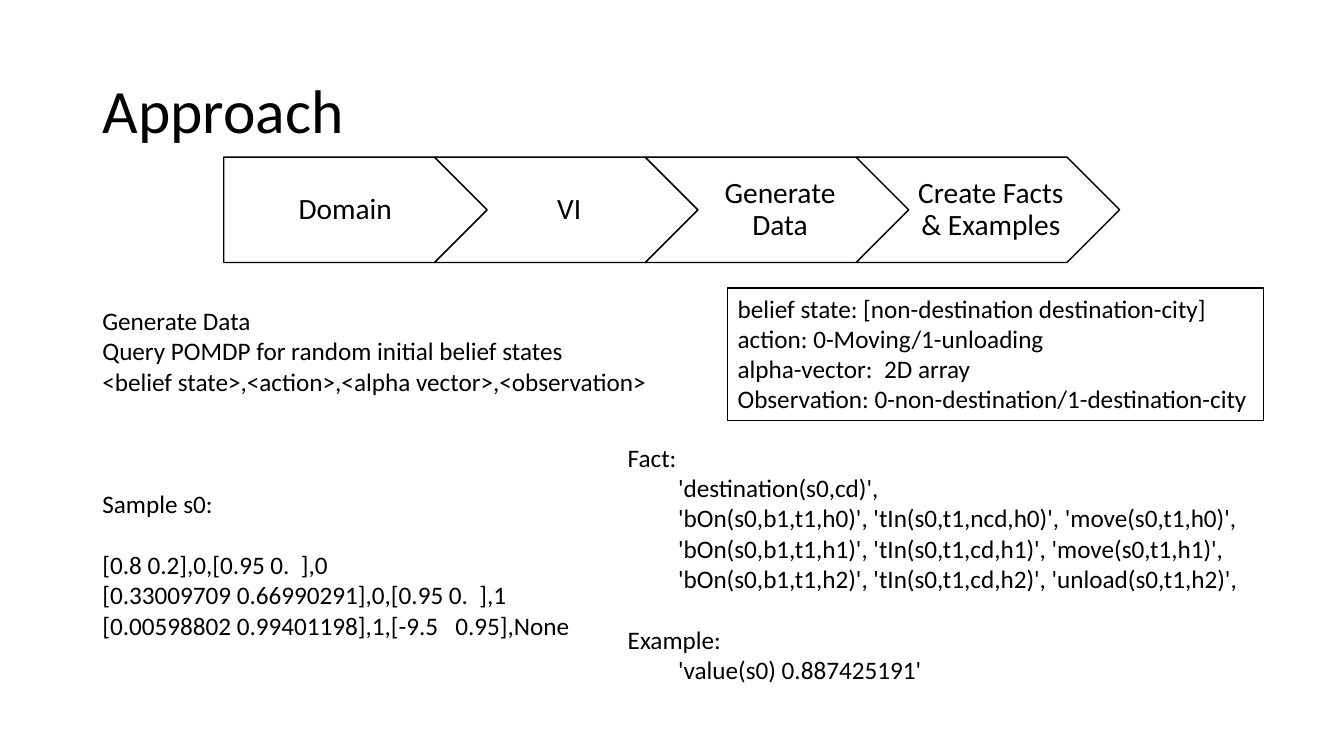
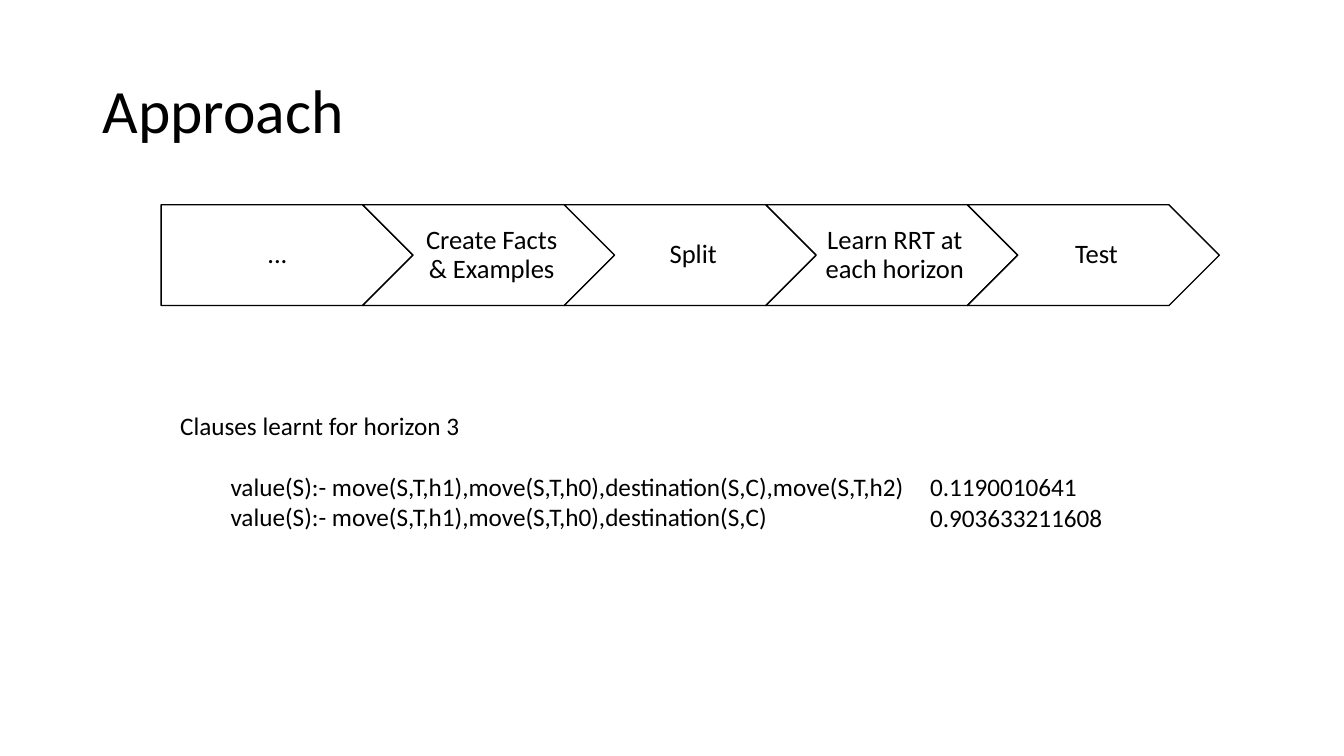
import dataclasses

import pptx
import pptx.dml.color
import pptx.enum.shapes
import pptx.enum.text
import pptx.util

Cm = pptx.util.Cm
Pt = pptx.util.Pt
ALIGN = pptx.enum.text.PP_ALIGN
ANCHOR = pptx.enum.text.MSO_ANCHOR
SHAPE = pptx.enum.shapes.MSO_SHAPE

COLOURS = {"ink": "000000", "paper": "FFFFFF"}
FONT = "Calibri"
BODY_SIZE = 18
BODY_LINE_HEIGHT = 22
TITLE_ONLY_LAYOUT = 5


@dataclasses.dataclass
class Line:
    """One paragraph; gap counts the line heights left free above it."""
    text: str
    level: int = 0
    gap: int = 0


def colour(name):
    return pptx.dml.color.RGBColor.from_string(COLOURS[name])


def write_text(frame, lines, size=BODY_SIZE, align=ALIGN.LEFT,
               anchor=ANCHOR.TOP, line_spacing=1.0):
    frame.word_wrap = True
    frame.vertical_anchor = anchor
    for index, line in enumerate(lines):
        paragraph = frame.add_paragraph() if index else frame.paragraphs[0]
        paragraph.level = line.level
        paragraph.alignment = align
        paragraph.line_spacing = line_spacing
        paragraph.space_before = Pt(line.gap * BODY_LINE_HEIGHT)
        run = paragraph.add_run()
        run.text = line.text
        run.font.name = FONT
        run.font.size = Pt(size)
        run.font.color.rgb = colour("ink")


def add_titled_slide(presentation, title):
    slide = presentation.slides.add_slide(
        presentation.slide_layouts[TITLE_ONLY_LAYOUT])
    placeholder = slide.shapes.title
    placeholder.left, placeholder.top = Cm(2.33), Cm(1.01)
    placeholder.width, placeholder.height = Cm(29.21), Cm(3.68)
    write_text(placeholder.text_frame, [Line(title)], size=44,
               anchor=ANCHOR.MIDDLE, line_spacing=0.9)
    return slide


def add_text_box(slide, left, top, width, height, lines):
    box = slide.shapes.add_textbox(Cm(left), Cm(top), Cm(width), Cm(height))
    write_text(box.text_frame, lines)


def add_outlined_shape(slide, kind, left, top, width, height):
    shape = slide.shapes.add_shape(
        kind, Cm(left), Cm(top), Cm(width), Cm(height))
    shape.shadow.inherit = False
    shape.fill.solid()
    shape.fill.fore_color.rgb = colour("paper")
    shape.line.color.rgb = colour("ink")
    shape.line.width = Pt(1)
    return shape


def add_process(slide, left, top, step_width, size, steps):
    """Draw a chain of arrows in which each tip fills the next notch."""
    for index, step in enumerate(steps):
        kind = SHAPE.CHEVRON if index else SHAPE.PENTAGON
        arrow = add_outlined_shape(
            slide, kind, left + index * 0.8 * step_width, top,
            step_width, 0.4 * step_width)
        frame = arrow.text_frame
        frame.margin_left, frame.margin_right = Cm(0.2), Cm(0.05)
        write_text(frame, [Line(step)], size=size, align=ALIGN.CENTER,
                   anchor=ANCHOR.MIDDLE, line_spacing=0.9)


def add_data_slide(presentation):
    slide = add_titled_slide(presentation, "Approach")
    add_process(slide, 5.64, 3.96, 6.64, 21,
                ["Domain", "VI", "Generate Data", "Create Facts & Examples"])
    add_text_box(slide, 2.33, 7.57, 16, 8.71, [
        Line("Generate Data"),
        Line("Query POMDP for random initial belief states"),
        Line("<belief state>,<action>,<alpha vector>,<observation>"),
        Line("Sample s0:", gap=3),
        Line("[0.8 0.2],0,[0.95 0.  ],0", gap=1),
        Line("[0.33009709 0.66990291],0,[0.95 0.  ],1"),
        Line("[0.00598802 0.99401198],1,[-9.5   0.95],None"),
    ])
    legend = add_outlined_shape(slide, SHAPE.RECTANGLE, 18.34, 7.26, 13.5, 3.34)
    write_text(legend.text_frame, [
        Line("belief state: [non-destination destination-city]"),
        Line("action: 0-Moving/1-unloading"),
        Line("alpha-vector:  2D array"),
        Line("Observation: 0-non-destination/1-destination-city"),
    ])
    add_text_box(slide, 15.57, 11.02, 17.02, 7.19, [
        Line("Fact:"),
        Line("'destination(s0,cd)',", level=1),
        Line("'bOn(s0,b1,t1,h0)', 'tIn(s0,t1,ncd,h0)', 'move(s0,t1,h0)',", level=1),
        Line("'bOn(s0,b1,t1,h1)', 'tIn(s0,t1,cd,h1)', 'move(s0,t1,h1)',", level=1),
        Line("'bOn(s0,b1,t1,h2)', 'tIn(s0,t1,cd,h2)', 'unload(s0,t1,h2)',", level=1),
        Line("Example:", gap=1),
        Line("'value(s0) 0.887425191'", level=1),
    ])


def add_learning_slide(presentation):
    slide = add_titled_slide(presentation, "Approach")
    add_process(slide, 4.06, 5.16, 6.35, 19,
                ["...", "Create Facts & Examples", "Split",
                 "Learn RRT at each horizon", "Test"])
    add_text_box(slide, 4.29, 10.21, 18.9, 4.11, [
        Line("Clauses learnt for horizon 3"),
        Line("value(S):- move(S,T,h1),move(S,T,h0),destination(S,C),move(S,T,h2)",
             level=1, gap=1),
        Line("value(S):- move(S,T,h1),move(S,T,h0),destination(S,C)", level=1),
    ])
    add_text_box(slide, 23.19, 11.76, 6.35, 1.8,
                 [Line("0.1190010641"), Line("0.903633211608")])


def main():
    presentation = pptx.Presentation()
    presentation.slide_width = Cm(33.87)
    presentation.slide_height = Cm(19.05)
    add_data_slide(presentation)
    add_learning_slide(presentation)
    presentation.save("out.pptx")


if __name__ == "__main__":
    main()
